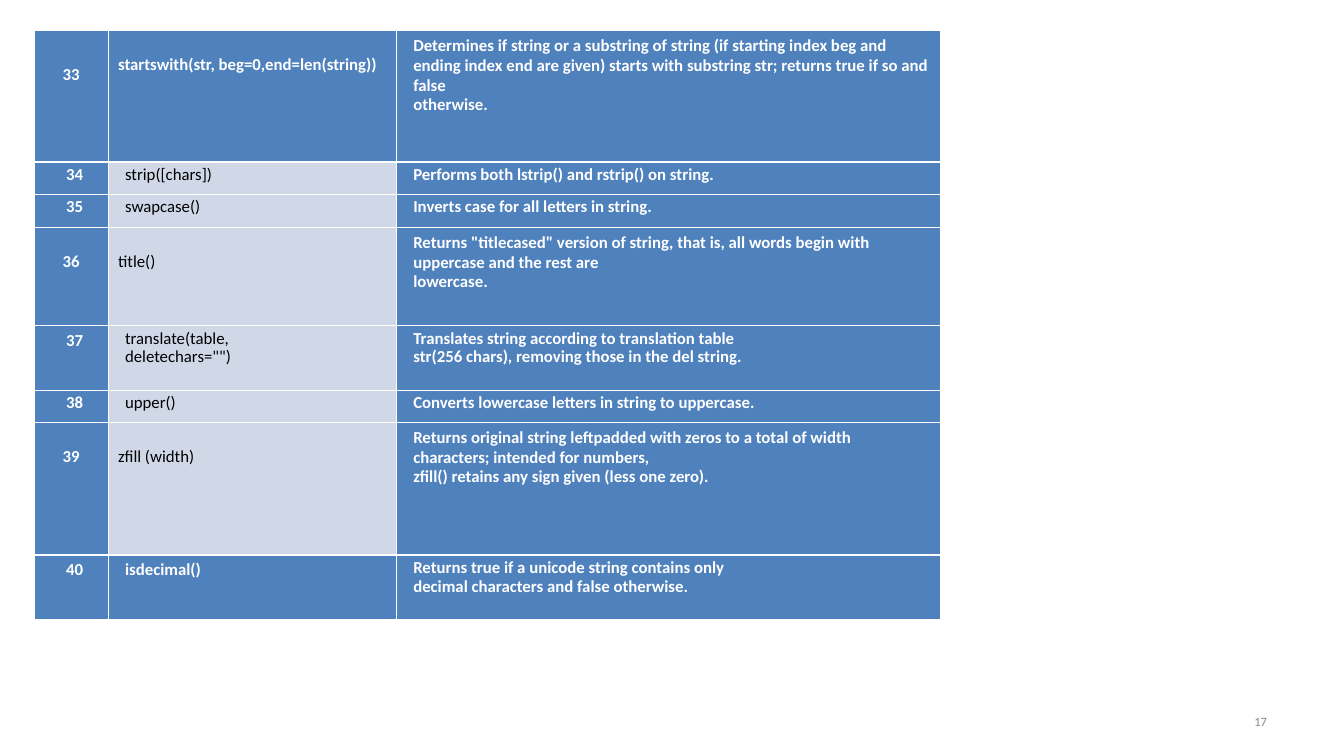
from dataclasses import dataclass
from typing import Optional

from lxml.etree import SubElement
from pptx import Presentation
from pptx.dml.color import RGBColor
from pptx.enum.text import MSO_ANCHOR, PP_ALIGN
from pptx.oxml.ns import qn
from pptx.util import Emu, Pt

WHITE = RGBColor(0xFF, 0xFF, 0xFF)
BLACK = RGBColor(0x00, 0x00, 0x00)
GREY = RGBColor(0x89, 0x89, 0x89)
BLUE = RGBColor(0x4F, 0x81, 0xBD)
PALE = RGBColor(0xD0, 0xD8, 0xE8)

SCALE = 9080  # EMU per px
COLUMNS = (74, 288, 544)
MARGIN, INDENT = 10, 7
TOP = 5
THIN, THICK = Pt(0.45), Pt(1.47)
THICK_BELOW = (0, 6)  # rows with a heavier rule underneath
ONE_LINE, FIRST, NEXT = 12.7, 13.3, 13.2  # line spacing in points


def px(n: int) -> Emu:
    return Emu(n * SCALE)


@dataclass
class Method:
    number: int
    name: list[str]
    description: list[str]
    height: int
    spacing: Optional[float] = None  # first line of the description
    name_spacing: Optional[float] = None
    number_spacing: Optional[float] = None
    number_drop: int = 0
    name_drop: int = 0
    indent: int = INDENT  # number and name columns
    strong: bool = False  # name in white bold on blue


def short(number: int, name: str, description: str, height: int = 32) -> Method:
    return Method(number, [name], [description], height, ONE_LINE, ONE_LINE, ONE_LINE)


METHODS = [
    Method(33, ["startswith(str, beg=0,end=len(string))"],
           ["Determines if string or a substring of string (if starting index beg and "
            "ending index end are given) starts with substring str; returns true if so "
            "and false", "otherwise."],
           132, number_drop=29, name_drop=19, indent=0, strong=True),
    short(34, "strip([chars])", "Performs both lstrip() and rstrip() on string."),
    short(35, "swapcase()", "Inverts case for all letters in string.", 33),
    Method(36, ["title()"],
           ['Returns "titlecased" version of string, that is, all words begin with '
            "uppercase and the rest are", "lowercase."],
           98, number_drop=19, name_drop=19, indent=0),
    Method(37, ["translate(table,", 'deletechars="")'],
           ["Translates string according to translation table",
            "str(256 chars), removing those in the del string."],
           65, FIRST, FIRST),
    short(38, "upper()", "Converts lowercase letters in string to uppercase."),
    Method(39, ["zfill (width)"],
           ["Returns original string leftpadded with zeros to a total of width "
            "characters; intended for numbers,",
            "zfill() retains any sign given (less one zero)."],
           132, number_drop=19, name_drop=19, indent=0),
    Method(40, ["isdecimal()"],
           ["Returns true if a unicode string contains only",
            "decimal characters and false otherwise."],
           65, FIRST, strong=True),
]


def format_font(font, color: RGBColor, **values) -> None:
    for key, value in {"name": "Calibri", "size": Pt(12), **values}.items():
        setattr(font, key, value)
    font.color.rgb = color


def set_borders(cell, row: int) -> None:
    widths = {"a:lnL": THIN, "a:lnR": THIN,
              "a:lnT": THICK if row - 1 in THICK_BELOW else THIN,
              "a:lnB": THICK if row in THICK_BELOW else THIN}
    tcPr = cell._tc.get_or_add_tcPr()
    for i, (tag, width) in enumerate(widths.items()):
        ln = SubElement(tcPr, qn(tag), w=str(int(width)))
        SubElement(SubElement(ln, qn("a:solidFill")), qn("a:srgbClr"), val=str(WHITE))
        tcPr.insert(i, ln)


def fill_cell(cell, lines: list[str], spacing: Optional[float], indent: int,
              drop: int = 0, align: PP_ALIGN = PP_ALIGN.LEFT, strong: bool = True) -> None:
    margins = {"margin_left": px(MARGIN + indent), "margin_right": px(MARGIN),
               "margin_top": px(TOP + drop), "margin_bottom": px(TOP)}
    for key, value in margins.items():
        setattr(cell, key, value)
    cell.fill.solid()
    cell.fill.fore_color.rgb = BLUE if strong else PALE
    tf = cell.text_frame
    for i, line in enumerate(lines):
        p = tf.add_paragraph() if i else tf.paragraphs[0]
        p.alignment = align
        points = NEXT if i else spacing
        if points:
            p.line_spacing = Pt(points)
        r = p.add_run()
        r.text = line
        format_font(r.font, WHITE if strong else BLACK, bold=strong)


def add_method_table(s) -> None:
    frame = s.shapes.add_table(len(METHODS), len(COLUMNS), px(34), px(30),
                               px(sum(COLUMNS)), px(sum(m.height for m in METHODS)))
    table = frame.table
    table.first_row = table.horz_banding = False
    for column, width in zip(table.columns, COLUMNS):
        column.width = px(width)
    for row, m in enumerate(METHODS):
        table.rows[row].height = px(m.height)
        number, name, description = table.rows[row].cells
        fill_cell(number, [str(m.number)], m.number_spacing, m.indent,
                  m.number_drop, PP_ALIGN.CENTER)
        fill_cell(name, m.name, m.name_spacing, m.indent, m.name_drop, strong=m.strong)
        fill_cell(description, m.description, m.spacing, INDENT)
        for cell in (number, name, description):
            set_borders(cell, row)


def add_page_number(s, text: str) -> None:
    tf = s.shapes.add_textbox(px(963), px(700), px(313), px(40)).text_frame
    tf.word_wrap = True
    tf.vertical_anchor = MSO_ANCHOR.MIDDLE
    p = tf.paragraphs[0]
    p.alignment = PP_ALIGN.RIGHT
    r = p.add_run()
    r.text = text
    format_font(r.font, GREY, size=Pt(9))


def main() -> None:
    prs = Presentation()
    prs.slide_width, prs.slide_height = px(1343), px(755)
    s = prs.slides.add_slide(prs.slide_layouts[6])
    add_method_table(s)
    add_page_number(s, "17")
    prs.save("out.pptx")


if __name__ == "__main__":
    main()
